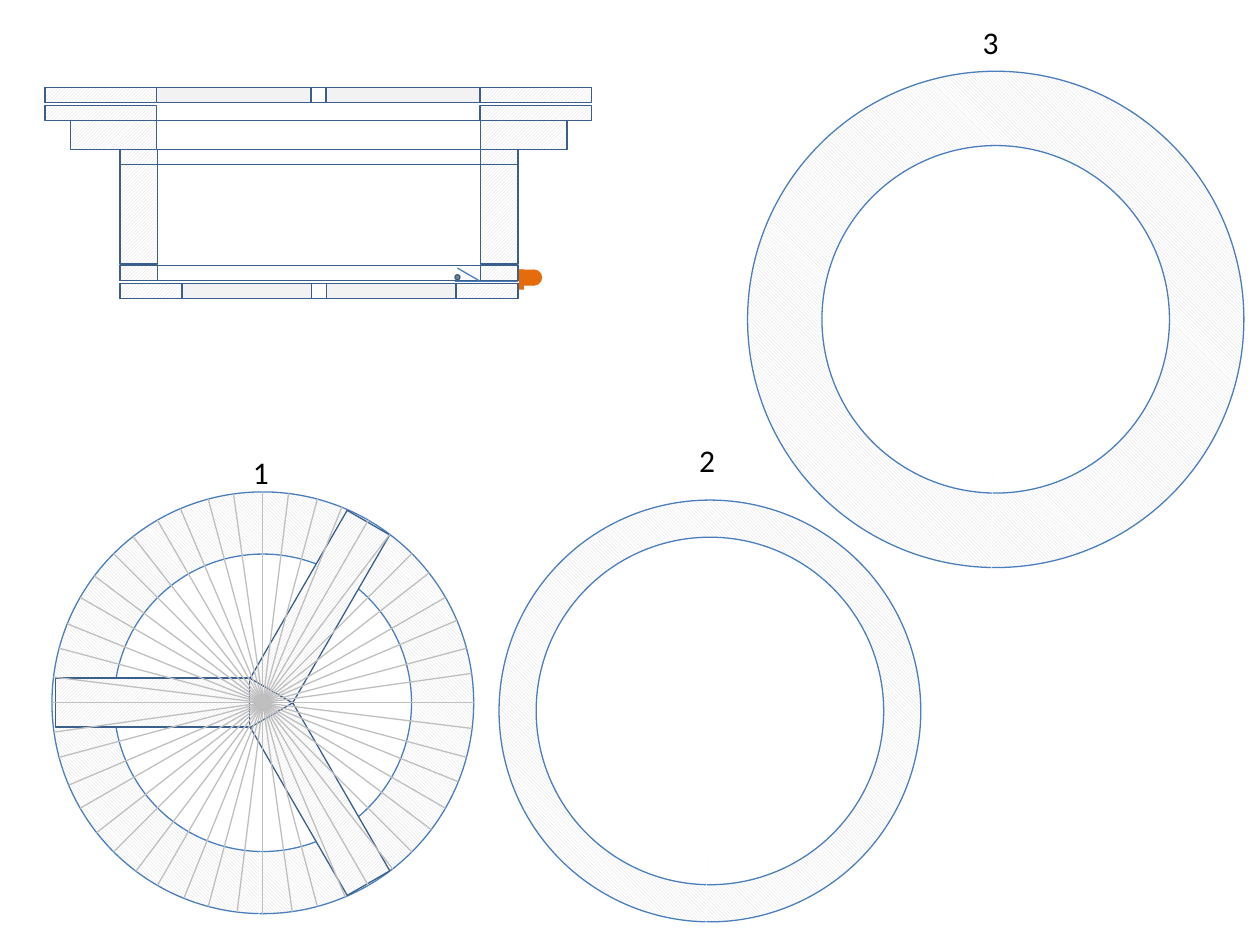
import math

from lxml import etree
from pptx import Presentation
from pptx.dml.color import RGBColor
from pptx.enum.dml import MSO_PATTERN
from pptx.enum.shapes import MSO_CONNECTOR, MSO_SHAPE
from pptx.oxml.ns import qn
from pptx.util import Pt

ARC, OVAL, RECTANGLE = MSO_SHAPE.ARC, MSO_SHAPE.OVAL, MSO_SHAPE.RECTANGLE
JUNCTION = MSO_SHAPE.FLOWCHART_SUMMING_JUNCTION
STRAIGHT = MSO_CONNECTOR.STRAIGHT
HATCHES = {
    "down": MSO_PATTERN.LIGHT_DOWNWARD_DIAGONAL,
    "up": MSO_PATTERN.LIGHT_UPWARD_DIAGONAL,
}
THEME = {
    "white": RGBColor(0xFF, 0xFF, 0xFF),
    "black": RGBColor(0, 0, 0),
    "pale": RGBColor(0xF2, 0xF2, 0xF2),
    "hatch": RGBColor(0xD9, 0xD9, 0xD9),
    "ray": RGBColor(0xBF, 0xBF, 0xBF),
    "pivot": RGBColor(0x80, 0x80, 0x80),
    "knob": RGBColor(0xE4, 0x6C, 0x0A),
    "curve": RGBColor(0x4B, 0x7E, 0xBC),
    "edge": RGBColor(0x3A, 0x5F, 0x8C),
    "font": "Calibri",
    "label_size": Pt(18),
    "line_width": Pt(0.75),
}


def add_part(parent, kind, left, top, width, height, fill, line="edge"):
    """Add a shape; fill is a hatch name, a theme colour or "clear"."""
    shape = parent.shapes.add_shape(kind, Pt(left), Pt(top), Pt(width), Pt(height))
    shape.shadow.inherit = False
    if fill == "clear":
        shape.fill.background()
    elif fill in HATCHES:
        shape.fill.patterned()
        shape.fill.pattern = HATCHES[fill]
        shape.fill.fore_color.rgb = THEME["hatch"]
        shape.fill.back_color.rgb = THEME["white"]
    else:
        shape.fill.solid()
        shape.fill.fore_color.rgb = THEME[fill]
    if line:
        shape.line.color.rgb = THEME[line]
        shape.line.width = THEME["line_width"]
    else:
        shape.line.fill.background()
    return shape


def add_line(parent, x1, y1, x2, y2, color):
    line = parent.shapes.add_connector(STRAIGHT, Pt(x1), Pt(y1), Pt(x2), Pt(y2))
    line.line.color.rgb = THEME[color]
    line.line.width = THEME["line_width"]
    etree.SubElement(line._element.spPr, qn("a:effectLst"))


presentation = Presentation()
presentation.slide_width, presentation.slide_height = Pt(720), Pt(540)
slide = presentation.slides.add_slide(presentation.slide_layouts[6])

# Rings seen from above: label, centre, outer and inner radius, label position
rings = [
    ("1", 150.2, 401.6, 120.5, 85, 137.5, 255.6),
    ("2", 405.7, 406.3, 120.5, 99.3, 392.4, 248.4),
    ("3", 569, 182.5, 141.8, 99.3, 554.4, 9.4),
]
ring_groups = {}
for label, center_x, center_y, outer, inner, label_left, label_top in rings:
    group = slide.shapes.add_group_shape()
    ring_groups[label] = group
    for radius, fill in ((outer, "down"), (inner, "white")):
        arc = add_part(group, ARC, center_x - radius, center_y - radius,
                       2 * radius, 2 * radius, fill, "curve")
        # Arc angles are in units of 1/60000 degree, adjustments in 1/100000
        arc.adjustments[0] = 91.14 * 0.6
        arc.adjustments[1] = 90.94 * 0.6
    box = group.shapes.add_textbox(Pt(label_left), Pt(label_top), Pt(23.8), Pt(28.8))
    box.text_frame.word_wrap = False
    paragraph = box.text_frame.paragraphs[0]
    paragraph.text = label
    paragraph.font.name = THEME["font"]
    paragraph.font.size = THEME["label_size"]
    paragraph.font.color.rgb = THEME["black"]

# Hub, spokes and rays of ring 1
wheel = ring_groups["1"]
_, hub_x, hub_y, wheel_radius, *_ = rings[0]
add_part(wheel, JUNCTION, 146.2, 397.4, 8.6, 8.6, "down", "curve")
for left, top, rotation in ((31.7, 387.4, 0), (127.4, 332.6, 300), (127.4, 442.6, 60)):
    spoke = add_part(wheel, RECTANGLE, left, top, 110.9, 28.1, "up")
    spoke.rotation = rotation
add_part(wheel, JUNCTION, 145.4, 396.7, 8.6, 8.6, "down", "curve")
for step in range(12):
    for offset in (0, 7):
        angle = math.radians(15 * step + offset)
        dx, dy = wheel_radius * math.cos(angle), wheel_radius * math.sin(angle)
        add_line(wheel, hub_x - dx, hub_y - dy, hub_x + dx, hub_y + dy, "ray")

# Side view: left, right, top, height, end block width, middle fill, centre piece
layers = [
    (68.6, 296, 85.5, 8.6, 21.4, "white", False),
    (68.6, 296, 162, 8.6, 35.4, "pale", True),
    (40.2, 324, 68.8, 16.8, 49.4, "clear", False),
    (25.8, 338.2, 60.2, 8.6, 63.9, None, False),
    (25.8, 338.2, 50.2, 8.6, 63.9, "pale", True),
    (68.6, 296, 151.7, 8.6, 21.4, "white", False),
    (68.6, 296, 94.2, 56.6, 21.4, None, False),
]
for left, right, top, height, block, middle, has_center in layers:
    if middle:
        add_part(slide, RECTANGLE, left, top, right - left, height, middle)
    for block_left in (left, right - block):
        add_part(slide, RECTANGLE, block_left, top, block, height, "up")
    if has_center:
        add_part(slide, RECTANGLE, (left + right) / 2 - 4.3, top, 8.6, height, "white")

knob = slide.shapes.add_group_shape()
add_part(knob, OVAL, 300.6, 154, 9.2, 9.2, "knob", None)
add_part(knob, RECTANGLE, 296.6, 154, 8.6, 9.2, "knob", None)
add_part(knob, RECTANGLE, 296.6, 154, 2.9, 11.5, "knob", None)

# Lever and its pivot
add_line(slide, 260, 161, 296, 161, "curve")
add_line(slide, 261.4, 153.2, 273.8, 160.4, "curve")
add_part(slide, OVAL, 260, 157, 2.9, 2.9, "pivot")

presentation.save("out.pptx")
